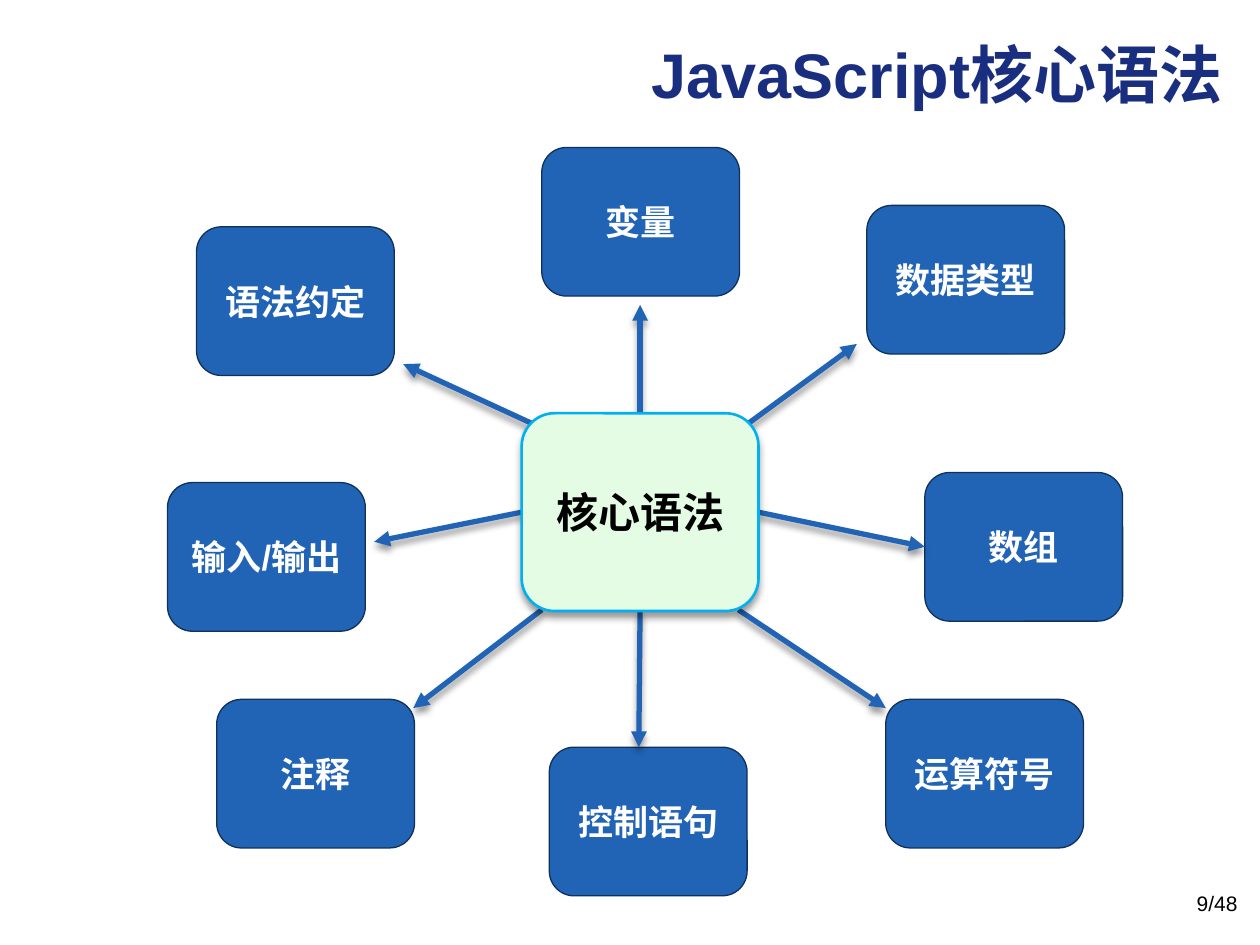
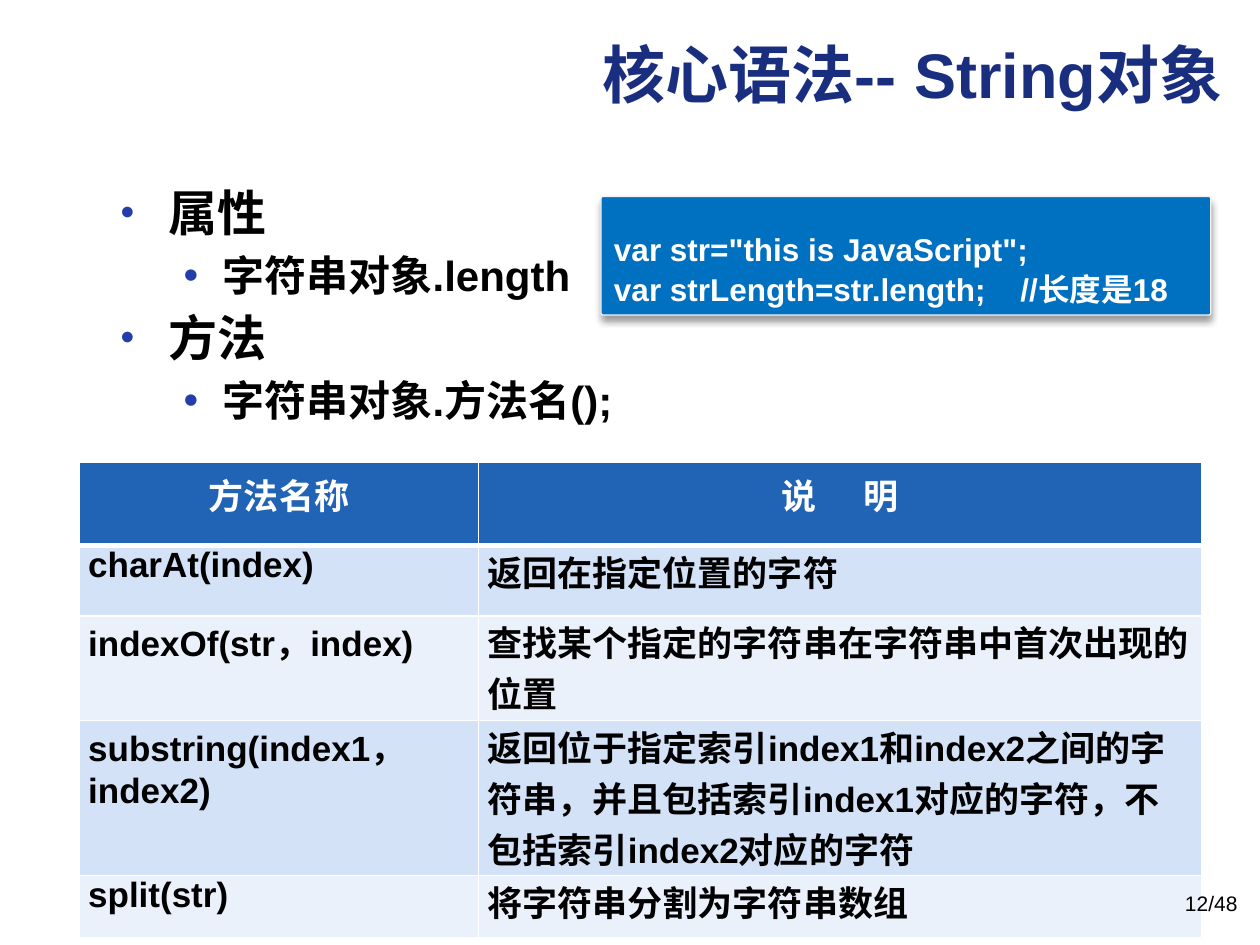
from lxml import etree
from pptx import Presentation
from pptx.dml.color import RGBColor
from pptx.enum.shapes import MSO_CONNECTOR, MSO_SHAPE
from pptx.enum.text import MSO_ANCHOR, PP_ALIGN
from pptx.oxml.ns import qn
from pptx.util import Emu, Pt

STRAIGHT = MSO_CONNECTOR.STRAIGHT
ROUNDED = MSO_SHAPE.ROUNDED_RECTANGLE
MIDDLE, BOTTOM = MSO_ANCHOR.MIDDLE, MSO_ANCHOR.BOTTOM
LEFT, CENTER, RIGHT = PP_ALIGN.LEFT, PP_ALIGN.CENTER, PP_ALIGN.RIGHT

EMU_PER_PX = 9144
SLIDE_SIZE = (1000, 750)
FONT = "Arial"
BLACK, WHITE = "000000", "FFFFFF"
NAVY, BLUE, BLUE_EDGE = "1A2E7F", "2163B4", "10315A"
BULLET_BLUE = "233DA9"
CODE_BLUE, CODE_EDGE = "0070C0", "F2F2F2"
HUB_GREEN, HUB_EDGE = "E4FCE4", "00B0F0"
BANDS = ("D3E2F7", "EAF1FB")
PAGE_COUNT = 48

NODE_SIZE = (157, 118)
HUB_BOX = (414, 328, 188, 157)
TOPICS = [
    ("数据类型", (688, 163)),
    ("变量", (430, 117)),
    ("语法约定", (156, 180)),
    ("注释", (172, 555)),
    ("控制语句", (436, 593)),
    ("运算符号", (703, 555)),
    ("数组", (734, 375)),
    ("输入/输出", (133, 383)),
]
SIDE_ARROWS = [
    (0, (508, 242)),
    (1, (297, 430)),
    (2, (507, 593)),
    (3, (734, 434)),
]
CORNER_ARROWS = [
    ((594, 336), (680, 273)),
    ((586, 484), (703, 562)),
    ((422, 336), (320, 289)),
    ((430, 484), (328, 562)),
]

OUTLINE = [("属性", 0), ("字符串对象.length", 1), ("方法", 0), ("字符串对象.方法名();", 1)]
OUTLINE_LEVELS = [(28, 38, 38, 80), (24, 81, 31, 100)]
CODE_LINES = ['var str="this is JavaScript";', "var strLength=str.length;    //长度是18"]
METHOD_COLUMNS = (317, 574)
METHOD_ROWS = (66, 56, 83, 123, 49)
METHODS = [
    ("方法名称", "说 明"),
    ("charAt(index)", "返回在指定位置的字符"),
    ("indexOf(str，index)", "查找某个指定的字符串在字符串中首次出现的位置"),
    ("substring(index1，index2)",
     "返回位于指定索引index1和index2之间的字符串，并且包括索引index1对应的字符，"
     "不包括索引index2对应的字符"),
    ("split(str)", "将字符串分割为字符串数组"),
]


def px(length):
    """Turn a length in px into EMU."""
    return Emu(length * EMU_PER_PX)


def scaled(lengths):
    """Turn several lengths in px into EMU."""
    return [px(length) for length in lengths]


def rgb(color):
    """Turn a hex string into a colour."""
    return RGBColor.from_string(color)


def child(parent, tag, **attributes):
    """Append an XML element such as a:ln to a parent."""
    values = {name: str(value) for name, value in attributes.items()}
    return etree.SubElement(parent, qn(tag), values)


def style(paragraph, size, color, bold=True, align=LEFT):
    """Set the alignment and font of a paragraph."""
    paragraph.alignment = align
    font = paragraph.font
    font.name, font.size, font.bold = FONT, Pt(size), bold
    font.color.rgb = rgb(color)


def add_shadow(shape):
    """Give a shape or connector a soft shadow below it."""
    properties = shape.element.spPr
    effects = properties.find(qn("a:effectLst"))
    if effects is None:
        effects = child(properties, "a:effectLst")
    shadow = child(effects, "a:outerShdw", blurRad=Pt(4), dist=Pt(3),
                   dir=90 * 60000, rotWithShape=0)
    child(child(shadow, "a:srgbClr", val=BLACK), "a:alpha", val=40000)


def add_text(slide, box, text, size, color, bold=True):
    """Add a right-aligned line of text."""
    frame = slide.shapes.add_textbox(*scaled(box)).text_frame
    frame.word_wrap = True
    paragraph = frame.paragraphs[0]
    paragraph.text = text
    style(paragraph, size, color, bold, RIGHT)


def add_card(slide, box, fill, edge, edge_width, corner=0.167):
    """Add a rounded box with a fill and an outline."""
    shape = slide.shapes.add_shape(ROUNDED, *scaled(box))
    shape.adjustments[0] = corner
    shape.shadow.inherit = False
    shape.fill.solid()
    shape.fill.fore_color.rgb = rgb(fill)
    shape.line.color.rgb = rgb(edge)
    shape.line.width = Pt(edge_width)
    shape.text_frame.word_wrap = True
    shape.text_frame.vertical_anchor = MIDDLE
    return shape


def label_card(shape, text, size, color):
    """Centre one line of text in a card."""
    paragraph = shape.text_frame.paragraphs[0]
    paragraph.text = text
    style(paragraph, size, color, align=CENTER)


def add_arrow(slide, start, end):
    """Add a thick arrow with a shadow."""
    arrow = slide.shapes.add_connector(STRAIGHT, *scaled(start + end))
    arrow.line.color.rgb = rgb(BLUE)
    arrow.line.width = Pt(3)
    child(arrow.line._get_or_add_ln(), "a:tailEnd", type="triangle")
    add_shadow(arrow)
    return arrow


def add_page(presentation, title):
    """Add a blank slide with its title."""
    slide = presentation.slides.add_slide(presentation.slide_layouts[6])
    add_text(slide, (80, 23, 900, 98), title, 36, NAVY)
    return slide


def add_page_number(slide, number):
    """Add the page number in front of the content."""
    add_text(slide, (759, 702, 233, 40), f"{number}/{PAGE_COUNT}", 12, BLACK, False)


def add_topic_map(slide, hub_box):
    """Draw the hub, the topics around it and the arrows between them."""
    for topic, position in TOPICS:
        node = add_card(slide, position + NODE_SIZE, BLUE, BLUE_EDGE, 0.75)
        label_card(node, topic, 20, WHITE)
        if topic == "数组":
            array_node = node
    hub = add_card(slide, hub_box, HUB_GREEN, HUB_EDGE, 1.5)
    label_card(hub, "核心语法", 24, BLACK)
    add_shadow(hub)
    for side, end in SIDE_ARROWS:
        arrow = add_arrow(slide, hub_box[:2], end)
        arrow.begin_connect(hub, side)
        if side == 3:
            arrow.end_connect(array_node, 1)
    for start, end in CORNER_ARROWS:
        add_arrow(slide, start, end)
    hub.element.getparent().append(hub.element)


def add_outline(slide, box):
    """Add the two-level bullet list."""
    frame = slide.shapes.add_textbox(*scaled(box)).text_frame
    frame.word_wrap = True
    for index, (text, level) in enumerate(OUTLINE):
        size, margin, hanging, bullet_size = OUTLINE_LEVELS[level]
        paragraph = frame.add_paragraph() if index else frame.paragraphs[0]
        paragraph.text = text
        properties = paragraph._p.get_or_add_pPr()
        properties.set("marL", str(px(margin)))
        properties.set("indent", str(px(-hanging)))
        child(child(properties, "a:buClr"), "a:srgbClr", val=BULLET_BLUE)
        child(properties, "a:buSzPct", val=bullet_size * 1000)
        child(properties, "a:buFont", typeface=FONT)
        child(properties, "a:buChar", char="•")
        style(paragraph, size, BLACK)
        if index:
            paragraph.space_before = Pt(4.5)


def add_code(slide, box):
    """Add the code sample on a blue panel."""
    panel = add_card(slide, box, CODE_BLUE, CODE_EDGE, 0.75, 0.018)
    add_shadow(panel)
    frame = panel.text_frame
    frame.vertical_anchor = BOTTOM
    for index, line in enumerate(CODE_LINES):
        paragraph = frame.add_paragraph() if index else frame.paragraphs[0]
        paragraph.text = line
        style(paragraph, 18, WHITE)
        paragraph.line_spacing = 0.9
        if index:
            paragraph.space_before = Pt(3.5)


def add_border(cell, side, width):
    """Draw one white border of a table cell."""
    line = child(cell._tc.get_or_add_tcPr(), f"a:ln{side}", w=Pt(width))
    child(child(line, "a:solidFill"), "a:srgbClr", val=WHITE)


def fill_cell(cell, text, row):
    """Write and colour one cell of the method table."""
    header = row == 0
    for side in "LRTB" if header else "LRB":
        add_border(cell, side, 3 if header and side == "B" else 1)
    cell.fill.solid()
    cell.fill.fore_color.rgb = rgb(BLUE if header else BANDS[(row - 1) % 2])
    paragraph = cell.text_frame.paragraphs[0]
    if header:
        first, space, rest = text.partition(" ")
        run = paragraph.add_run()
        run.text = first + space
        if rest:
            run._r.get_or_add_rPr().set("spc", "1120")
            paragraph.add_run().text = rest
        style(paragraph, 20, WHITE, align=CENTER)
    else:
        cell.margin_left = cell.margin_right = px(7)
        cell.margin_top, cell.margin_bottom = px(0), px(2)
        paragraph.text = text
        style(paragraph, 20, BLACK)


def add_methods(slide, position):
    """Add the table of string methods."""
    box = position + (sum(METHOD_COLUMNS), sum(METHOD_ROWS))
    table = slide.shapes.add_table(len(METHOD_ROWS), len(METHOD_COLUMNS), *scaled(box)).table
    table.horz_banding = False
    for column, width in zip(table.columns, METHOD_COLUMNS):
        column.width = px(width)
    for row, height in zip(table.rows, METHOD_ROWS):
        row.height = px(height)
    for row, texts in enumerate(METHODS):
        for column, text in enumerate(texts):
            fill_cell(table.cell(row, column), text, row)


def main():
    """Build both slides and save them."""
    presentation = Presentation()
    presentation.slide_width, presentation.slide_height = scaled(SLIDE_SIZE)
    syntax_slide = add_page(presentation, "JavaScript核心语法")
    add_topic_map(syntax_slide, HUB_BOX)
    add_page_number(syntax_slide, 9)
    string_slide = add_page(presentation, "核心语法-- String对象")
    add_outline(string_slide, (86, 140, 836, 548))
    add_code(string_slide, (477, 156, 484, 94))
    add_methods(string_slide, (63, 367))
    add_page_number(string_slide, 12)
    presentation.save("out.pptx")


if __name__ == "__main__":
    main()
